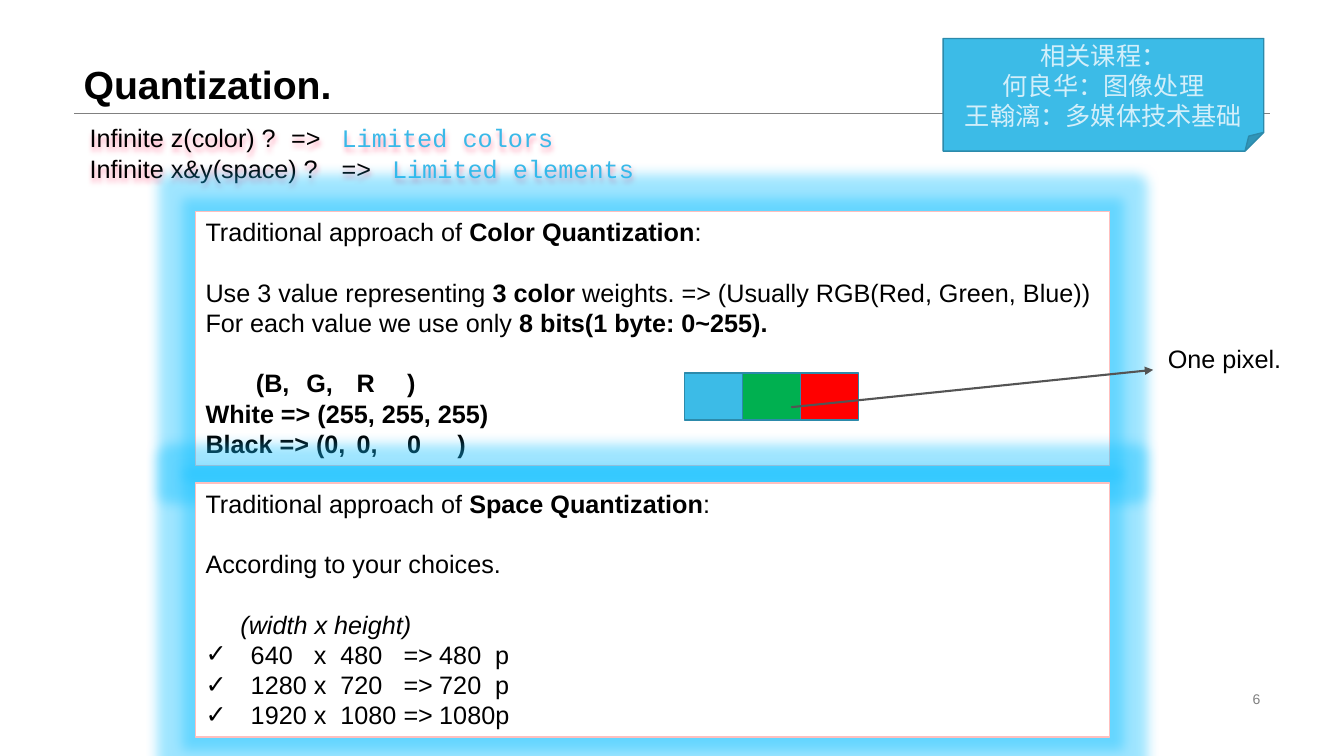
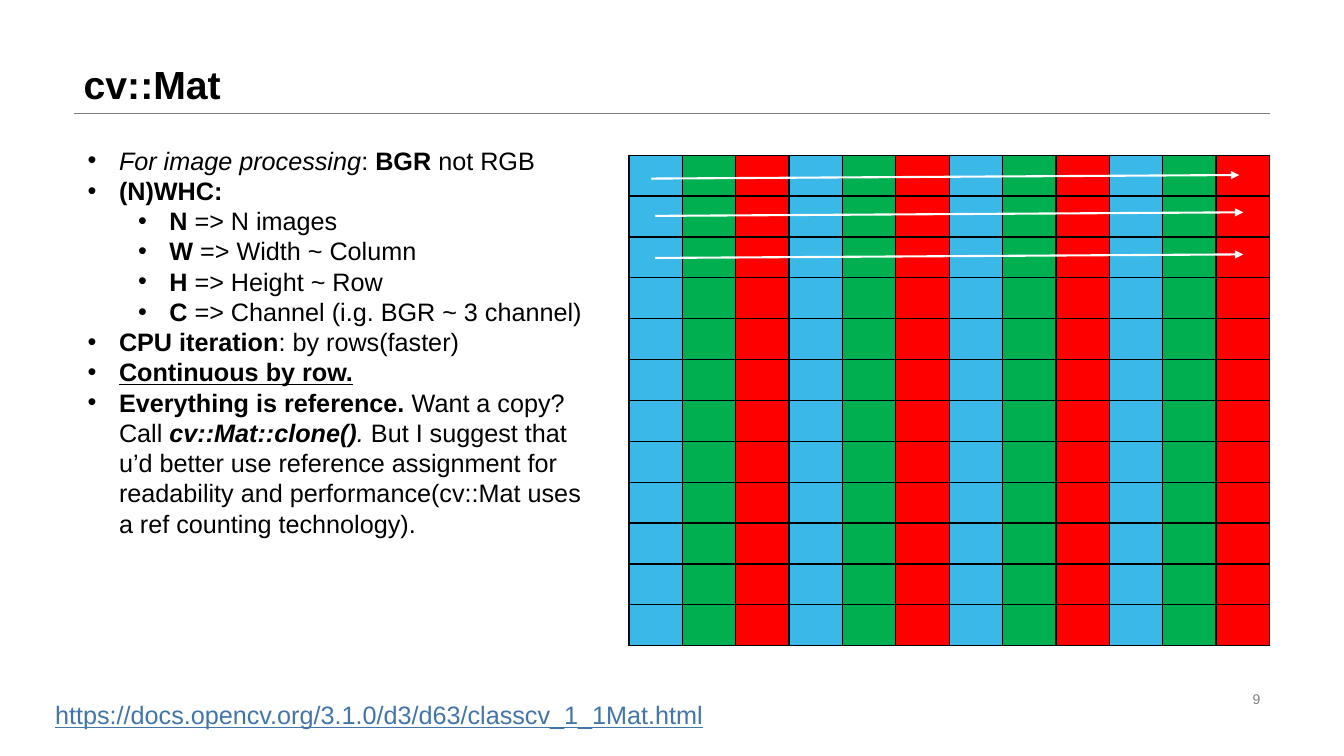
"""Build two lecture slides on quantization and the cv::Mat layout."""
from dataclasses import dataclass
from typing import Optional

from lxml.etree import SubElement
from pptx import Presentation
from pptx.dml.color import RGBColor
from pptx.enum.shapes import MSO_CONNECTOR, MSO_SHAPE
from pptx.enum.text import MSO_ANCHOR, PP_ALIGN
from pptx.oxml.ns import qn
from pptx.util import Cm, Pt


@dataclass(frozen=True)
class Theme:
    black: str = "000000"
    white: str = "FFFFFF"
    gray: str = "808080"
    dark: str = "545454"
    sky: str = "3AB9E8"
    accent: str = "3CBBE7"
    accent_line: str = "2C8AAB"
    note_text: str = "D3EFFA"
    green: str = "00B050"
    red: str = "FF0000"
    pink: str = "FFBFBE"
    text_shadow: str = "FF9FB8"
    glow: str = "10C0FF"
    link: str = "4276AA"
    sans: str = "Arial"
    mono: str = "Courier New"
    cjk: str = "Noto Sans CJK SC"
    title: float = 28
    body: float = 18
    small: float = 10
    leading: float = 21.6


T = Theme()


@dataclass(frozen=True)
class Run:
    text: str
    bold: bool = False
    italic: bool = False
    underline: bool = False
    color: str = T.black
    font: str = T.sans
    size: float = T.body


@dataclass(frozen=True)
class Para:
    runs: tuple[Run, ...]
    align: PP_ALIGN = PP_ALIGN.LEFT
    level: int = 0
    left: float = 0
    hang: float = 0
    bullet: str = ""
    tabs: tuple[float, ...] = ()
    before: float = 0
    spacing: float | Pt = Pt(T.leading)


@dataclass(frozen=True)
class Box:
    x: float
    y: float
    w: float
    h: float

    def emu(self) -> tuple[Cm, Cm, Cm, Cm]:
        return Cm(self.x), Cm(self.y), Cm(self.w), Cm(self.h)


@dataclass(frozen=True)
class Stroke:
    x1: float
    y1: float
    x2: float
    y2: float
    color: str
    width: float = 1.5
    arrow: bool = True


def rgb(color: str) -> RGBColor:
    return RGBColor.from_string(color)


def add_paras(tf, paras: list[Para]) -> None:
    for n, para in enumerate(paras):
        p = tf.paragraphs[0] if n == 0 else tf.add_paragraph()
        p.alignment = para.align
        p.level = para.level
        p.line_spacing = para.spacing
        p.space_before = Pt(para.before)
        props = p._p.get_or_add_pPr()
        props.set("marL", str(Cm(para.left)))
        props.set("indent", str(-Cm(para.hang)))
        if para.bullet:
            SubElement(props, qn("a:buFont"), typeface=T.sans)
            SubElement(props, qn("a:buChar"), char=para.bullet)
        else:
            SubElement(props, qn("a:buNone"))
        if para.tabs:
            tab_list = SubElement(props, qn("a:tabLst"))
            for stop in para.tabs:
                SubElement(tab_list, qn("a:tab"), pos=str(Cm(stop)), algn="l")
        for run in para.runs:
            r = p.add_run()
            r.text = run.text
            f = r.font
            f.size, f.name = Pt(run.size), run.font
            f.bold, f.italic, f.underline = run.bold, run.italic, run.underline
            f.color.rgb = rgb(run.color)
            SubElement(r._r.get_or_add_rPr(), qn("a:ea"), typeface=run.font)


def add_text(s, box: Box, paras: list[Para], anchor=MSO_ANCHOR.TOP, wrap: bool = True):
    sp = s.shapes.add_textbox(*box.emu())
    tf = sp.text_frame
    tf.word_wrap = wrap
    tf.vertical_anchor = anchor
    add_paras(tf, paras)
    return sp


def add_block(s, kind: MSO_SHAPE, box: Box, fill: str, line: str,
              paras: Optional[list[Para]] = None, anchor=MSO_ANCHOR.TOP):
    sp = s.shapes.add_shape(kind, *box.emu())
    sp.shadow.inherit = False
    sp.fill.solid()
    sp.fill.fore_color.rgb = rgb(fill)
    sp.line.color.rgb = rgb(line)
    sp.line.width = Pt(1)
    if paras:
        sp.text_frame.word_wrap = True
        sp.text_frame.vertical_anchor = anchor
        add_paras(sp.text_frame, paras)
    return sp


def add_stroke(s, stroke: Stroke) -> None:
    sp = s.shapes.add_connector(MSO_CONNECTOR.STRAIGHT, Cm(stroke.x1), Cm(stroke.y1),
                                Cm(stroke.x2), Cm(stroke.y2))
    sp.line.color.rgb = rgb(stroke.color)
    sp.line.width = Pt(stroke.width)
    if stroke.arrow:
        SubElement(sp.line._get_or_add_ln(), qn("a:tailEnd"), type="triangle")
    SubElement(sp._element.spPr, qn("a:effectLst"))


def add_effect(sp, tag: str, color: str, alpha: int, **attrs: str) -> None:
    sp.shadow.inherit = False
    effects = sp._element.spPr.find(qn("a:effectLst"))
    clr = SubElement(SubElement(effects, qn(tag), **attrs), qn("a:srgbClr"), val=color)
    SubElement(clr, qn("a:alpha"), val=str(alpha * 1000))


def new_slide(prs, title: str, number: int):
    s = prs.slides.add_slide(prs.slide_layouts[6])
    add_stroke(s, Stroke(1.87, 2.85, 32.01, 2.85, T.gray, 0.25, False))
    add_text(s, Box(1.86, 0, 30.15, 2.84),
             [Para((Run(title, bold=True, size=T.title),), spacing=0.9)], MSO_ANCHOR.BOTTOM)
    add_text(s, Box(23.93, 17.32, 8.08, 0.58),
             [Para((Run(str(number), color=T.gray, size=T.small),),
                   align=PP_ALIGN.RIGHT, spacing=1.0)], MSO_ANCHOR.MIDDLE)
    return s


def quantization_slide(prs) -> None:
    s = new_slide(prs, "Quantization.", 6)
    limits = [("Infinite z(color) ?\t=>\t", "Limited colors"),
              ("Infinite x&y(space) ?\t=>\t", "Limited elements")]
    sp = add_text(s, Box(2.01, 2.97, 24.33, 1.8),
                  [Para((Run(ask), Run(answer, color=T.sky, font=T.mono)), tabs=(5.93, 7.39))
                   for ask, answer in limits])
    add_effect(sp, "a:outerShdw", T.text_shadow, 100,
               blurRad=str(Pt(4)), dist=str(Pt(2)), dir="5400000")

    def heading(topic: str) -> Para:
        return Para((Run("Traditional approach of "), Run(topic, bold=True), Run(":")))

    color_paras = [
        heading("Color Quantization"),
        Para((Run("Use 3 value representing "), Run("3 color ", bold=True),
              Run("weights. => (Usually RGB(Red, Green, Blue))")), before=T.leading),
        Para((Run("For each value we use only "), Run("8 bits(1 byte: 0~255).", bold=True))),
        Para((Run("\t(B,\tG,\tR\t)", bold=True),), tabs=(2.88, 4.43, 5.82, 6.98),
             before=T.leading),
        Para((Run("White => (255, 255, 255)", bold=True),)),
        Para((Run("Black => (0,\t0,\t0\t)", bold=True),), tabs=(4.41, 5.82, 6.88)),
    ]
    sizes = ["\t640\tx\t480\t=>\t480\tp", "\t1280\tx\t720\t=>\t720\tp",
             "\t1920\tx\t1080\t=>\t1080p"]
    space_paras = [
        heading("Space Quantization"),
        Para((Run("According to your choices."),), before=T.leading),
        Para((Run("(width x height)", italic=True),), left=0.88, before=T.leading),
        *(Para((Run(size),), bullet="✓", tabs=(1.14, 2.73, 3.4, 4.99, 5.89, 7.3))
          for size in sizes),
    ]
    for n, paras in enumerate((color_paras, space_paras)):
        sp = add_block(s, MSO_SHAPE.RECTANGLE, Box(4.93, 5.33 + n * 6.84, 23.04, 6.4),
                       T.white, T.pink, paras)
        add_effect(sp, "a:glow", T.glow, 40, rad=str(Pt(18)))

    courses = ["相关课程：", "何良华：图像处理", "王翰漓：多媒体技术基础"]
    add_block(s, MSO_SHAPE.FOLDED_CORNER, Box(23.77, 0.97, 8.08, 2.84), T.accent, T.accent_line,
              [Para((Run(course, color=T.note_text, font=T.cjk),), align=PP_ALIGN.CENTER)
               for course in courses], MSO_ANCHOR.MIDDLE)
    for n, channel in enumerate((T.accent, T.green, T.red)):
        add_block(s, MSO_SHAPE.RECTANGLE, Box(17.25 + n * 1.46, 9.4, 1.46, 1.19),
                  channel, T.accent_line)
    add_stroke(s, Stroke(19.94, 10.26, 29.06, 9.32, T.dark))
    add_text(s, Box(29.18, 8.53, 3.4, 1.02), [Para((Run("One pixel."),))], wrap=False)


def add_pixel_grid(s, box: Box, count: int) -> None:
    frame = s.shapes.add_table(count, count, *box.emu())
    table = frame.table
    table.first_row = table.horz_banding = False
    for col in table.columns:
        col.width = Cm(box.w / count)
    for row in table.rows:
        row.height = Cm(box.h / count)
        for n, cell in enumerate(row.cells):
            props = cell._tc.get_or_add_tcPr()
            for side in ("a:lnL", "a:lnR", "a:lnT", "a:lnB"):
                ln = SubElement(props, qn(side), w=str(Pt(1)))
                SubElement(SubElement(ln, qn("a:solidFill")), qn("a:srgbClr"), val=T.black)
            cell.fill.solid()
            cell.fill.fore_color.rgb = rgb((T.sky, T.green, T.red)[n % 3])


def mat_slide(prs) -> None:
    s = new_slide(prs, "cv::Mat", 9)
    add_pixel_grid(s, Box(15.85, 3.91, 16.15, 12.37), 12)

    def item(*runs: Run, level: int = 0) -> Para:
        return Para(runs, level=level, left=0.79 + 1.27 * level, hang=0.79, bullet="•")

    axes = [("N", " => N images"), ("W", " => Width ~ Column"), ("H", " => Height ~ Row"),
            ("C", " => Channel (i.g. BGR ~ 3 channel)")]
    add_text(s, Box(1.96, 3.53, 13.34, 10.26), [
        item(Run("For image processing", italic=True), Run(": "), Run("BGR ", bold=True),
             Run("not RGB")),
        item(Run("(N)WHC:", bold=True)),
        *(item(Run(axis, bold=True), Run(meaning), level=1) for axis, meaning in axes),
        item(Run("CPU iteration", bold=True), Run(": by rows(faster)")),
        item(Run("Continuous by row.", bold=True, underline=True)),
        item(Run("Everything is reference. ", bold=True), Run("Want a copy? Call "),
             Run("cv::Mat::clone()", bold=True, italic=True), Run(". ", italic=True),
             Run("But I suggest that u’d better use reference assignment for readability "
                 "and performance(cv::Mat uses a ref counting technology).")),
    ])
    for x, y in ((16.41, 4.5), (16.51, 5.44), (16.51, 6.5)):
        add_stroke(s, Stroke(x, y, x + 14.82, y - 0.09, T.white))
    add_text(s, Box(1.14, 17.5, 16.99, 1.02),
             [Para((Run("https://docs.opencv.org/3.1.0/d3/d63/classcv_1_1Mat.html",
                        underline=True, color=T.link),))], wrap=False)


def main() -> None:
    prs = Presentation()
    prs.slide_width, prs.slide_height = Cm(33.87), Cm(19.05)
    quantization_slide(prs)
    mat_slide(prs)
    prs.save("out.pptx")


if __name__ == "__main__":
    main()
